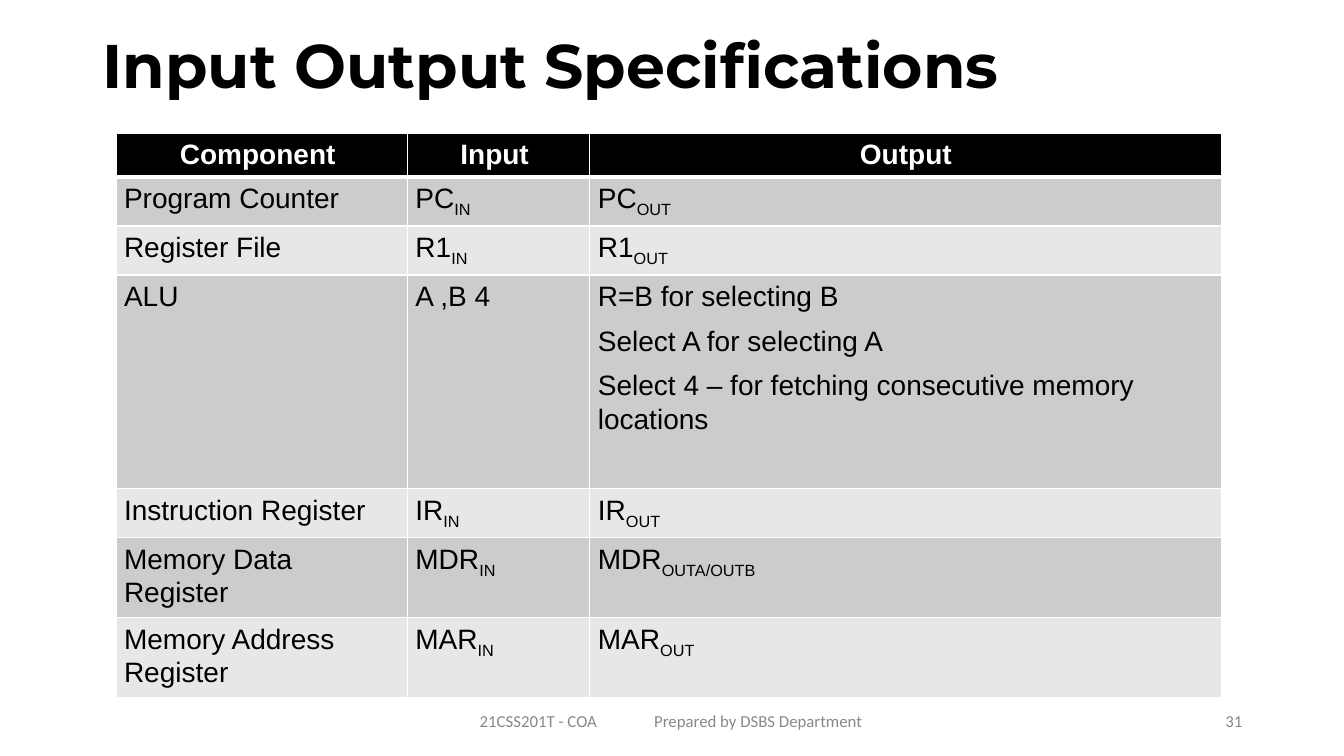
from dataclasses import dataclass

from lxml import etree
from pptx import Presentation
from pptx import util as u
from pptx.dml.color import RGBColor
from pptx.enum import text
from pptx.oxml import ns

BLACK = RGBColor(0x00, 0x00, 0x00)
WHITE = RGBColor(0xFF, 0xFF, 0xFF)
GREY = RGBColor(0x88, 0x88, 0x88)
BANDS = RGBColor(0xE7, 0xE7, 0xE7), RGBColor(0xCC, 0xCC, 0xCC)

LEFT, CENTER, RIGHT = text.PP_ALIGN.LEFT, text.PP_ALIGN.CENTER, text.PP_ALIGN.RIGHT
TITLE = {"name": "Montserrat", "size": u.Pt(44), "bold": True}
FOOT = {"name": "Calibri", "size": u.Pt(12)}
HEAD = {"name": "Arial", "size": u.Pt(20), "bold": True}
BODY = {**HEAD, "bold": False}
SPACING = {"line_spacing": 1.07, "space_after": u.Pt(8)}
MARGINS = {"margin_left": u.Inches(0.08), "margin_right": u.Inches(0.08),
           "margin_top": u.Inches(0.04), "margin_bottom": u.Inches(0.04)}


@dataclass
class Label:
    words: str
    left: float
    top: float
    width: float
    height: float
    font: dict
    color: RGBColor
    align: text.PP_ALIGN = LEFT
    lead: float = 1.0


@dataclass
class Row:
    height: float
    cells: tuple[str, str, str]


LABELS = [
    Label("Input Output Specifications", 0.92, 0.33, 11.5, 0.7, TITLE, BLACK, lead=0.9),
    Label("21CSS201T - COA", 4.66, 6.95, 1.5, 0.4, FOOT, GREY),
    Label("Prepared by DSBS Department", 6.39, 6.95, 2.5, 0.4, FOOT, GREY),
    Label("31", 9.42, 6.95, 3, 0.4, FOOT, GREY, RIGHT),
]

# An underscore starts a subscript; a line break starts a paragraph.
COLS = 2.89, 1.81, 6.27
ROWS = [
    Row(0.43, ("Component ", "Input ", "Output")),
    Row(0.48, ("Program Counter", "PC_IN", "PC_OUT")),
    Row(0.48, ("Register File", "R1_IN", "R1_OUT")),
    Row(2.12, ("ALU", "A ,B 4",
               "R=B for selecting B\nSelect A for selecting A\n"
               "Select 4 – for fetching consecutive memory locations")),
    Row(0.48, ("Instruction Register", "IR_IN", "IR_OUT")),
    Row(0.76, ("Memory Data Register", "MDR_IN", "MDR_OUTA/OUTB")),
    Row(0.76, ("Memory Address Register", "MAR_IN", "MAR_OUT")),
]


def apply(target, values: dict) -> None:
    for key, value in values.items():
        setattr(target, key, value)


def add_run(para, words: str, font: dict, color: RGBColor):
    run = para.add_run()
    run.text = words
    apply(run.font, font)
    run.font.color.rgb = color
    return run


def add_label(slide, label: Label) -> None:
    sides = (label.left, label.top, label.width, label.height)
    frame = slide.shapes.add_textbox(*map(u.Inches, sides)).text_frame
    apply(frame, {"word_wrap": True, "vertical_anchor": text.MSO_ANCHOR.MIDDLE})
    para = frame.paragraphs[0]
    apply(para, {"alignment": label.align, "line_spacing": label.lead})
    add_run(para, label.words, label.font, label.color)


def set_borders(cell, widths: dict[str, int]) -> None:
    """Put white lines, with widths in points, before the cell's fill."""
    props = cell._tc.get_or_add_tcPr()
    for spot, (side, width) in enumerate(widths.items()):
        line = etree.Element(ns.qn(f"a:ln{side}"), w=str(u.Pt(width)))
        fill = etree.SubElement(line, ns.qn("a:solidFill"))
        etree.SubElement(fill, ns.qn("a:srgbClr"), val=str(WHITE))
        props.insert(spot, line)


def fill_cell(cell, words: str, index: int) -> None:
    head = index == 0
    font, color = (HEAD, WHITE) if head else (BODY, BLACK)
    apply(cell, MARGINS)
    cell.fill.solid()
    cell.fill.fore_color.rgb = BLACK if head else BANDS[index % 2]
    set_borders(cell, {"L": 1, "R": 1, "T": 3 if index == 1 else 1, "B": 3 if head else 1})
    frame = cell.text_frame
    for number, line in enumerate(words.split("\n")):
        para = frame.add_paragraph() if number else frame.paragraphs[0]
        apply(para, {**SPACING, "alignment": CENTER if head else LEFT})
        base, _, sub = line.partition("_")
        add_run(para, base, font, color)
        if sub:
            run = add_run(para, sub, font, color)
            run._r.get_or_add_rPr().set("baseline", "-25000")


def add_grid(slide) -> None:
    size = sum(COLS), sum(row.height for row in ROWS)
    grid = slide.shapes.add_table(
        len(ROWS), len(COLS), *map(u.Inches, (1.15, 1.32, *size))).table
    grid.horz_banding = False
    for column, width in zip(grid.columns, COLS):
        column.width = u.Inches(width)
    for index, row in enumerate(ROWS):
        grid.rows[index].height = u.Inches(row.height)
        for column, words in enumerate(row.cells):
            # The ALU row is banded like its odd-numbered neighbours.
            fill_cell(grid.cell(index, column), words, index)


def main() -> None:
    deck = Presentation()
    apply(deck, {"slide_width": u.Inches(13.33), "slide_height": u.Inches(7.5)})
    slide = deck.slides.add_slide(deck.slide_layouts[6])
    for label in LABELS:
        add_label(slide, label)
    add_grid(slide)
    deck.save("out.pptx")


if __name__ == "__main__":
    main()
